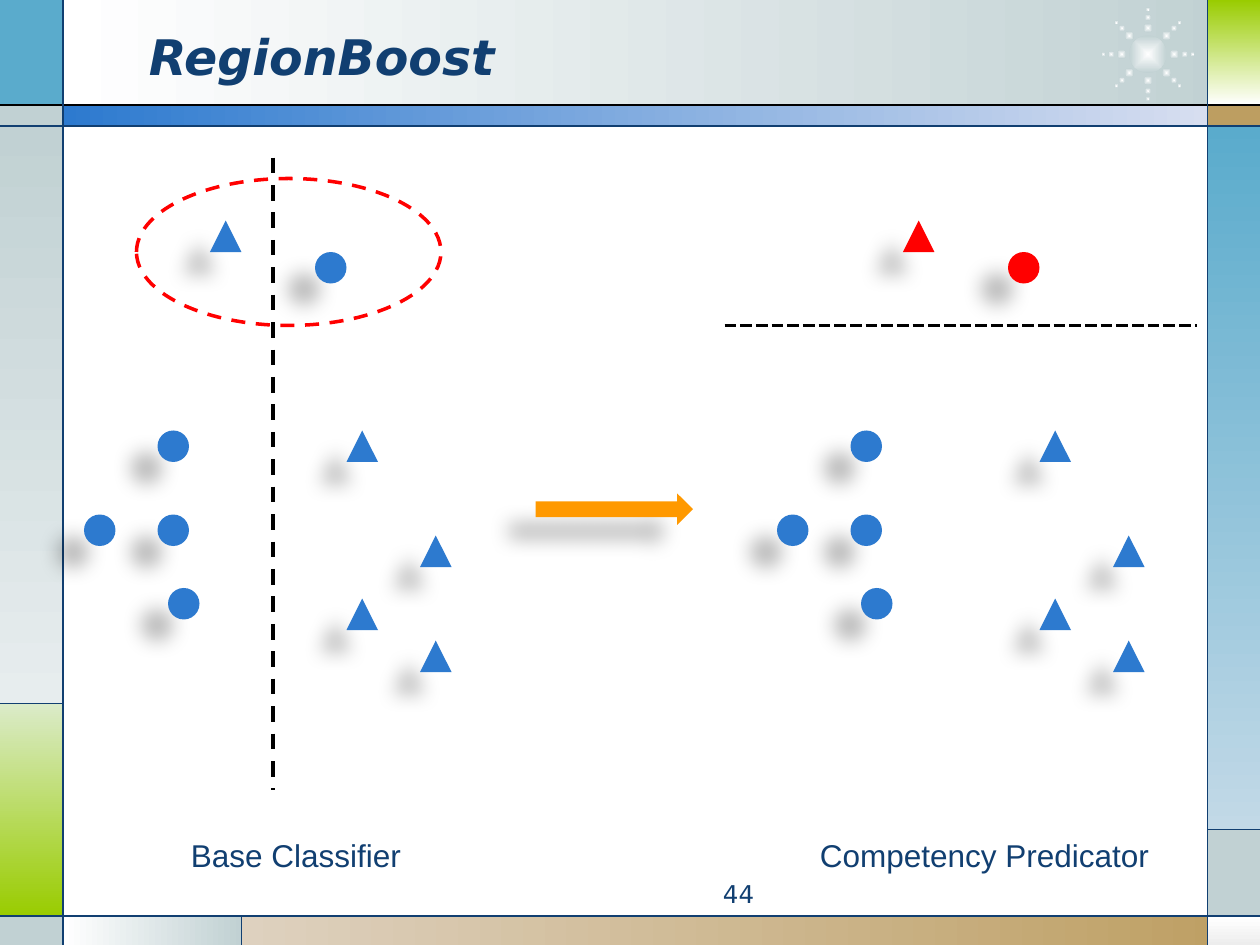
from math import cos, pi, sin

from lxml.etree import SubElement
from pptx import Presentation
from pptx.dml.color import RGBColor
from pptx.enum.dml import MSO_LINE
from pptx.enum.shapes import MSO_CONNECTOR, MSO_SHAPE
from pptx.enum.text import MSO_ANCHOR, PP_ALIGN
from pptx.oxml.ns import qn
from pptx.util import Pt

C = {
    "white": "FFFFFF", "silver": "EDEDED", "grey": "C1D1D3", "pale_grey": "E7EDEE",
    "sky": "5AABCC", "pale_sky": "C2D9E7", "green": "99CC00", "pale_green": "DBEBC9",
    "tan": "BD9E61", "pale_tan": "DED1BF", "blue": "2D7ACF", "pale_blue": "D7DEF0",
    "navy": "113F71", "black": "000000", "red": "FF0000", "orange": "FF9900",
}
W, H = 720, 540
LEFT, RIGHT = 36, 690              # side column edges
HEAD, BAR, FOOT = 60, 72, 523.5    # header, blue bar and footer edges
GREEN_TOP, TAN_LEFT, GREY_TOP = 402, 138, 474
ACROSS, DOWN = 0, 270

# left, top, right, bottom, colours, gradient direction
PANELS = [
    (LEFT, 0, 703.5, HEAD, ("white", "grey"), ACROSS),
    (0, 0, LEFT, HEAD, ("sky",), None),
    (0, HEAD, LEFT, BAR, ("grey",), None),
    (0, BAR, LEFT, GREEN_TOP, ("grey", "pale_grey"), DOWN),
    (0, GREEN_TOP, LEFT, FOOT, ("pale_green", "green"), DOWN),
    (0, FOOT, LEFT, H, ("grey",), None),
    (LEFT, FOOT, TAN_LEFT, H, ("white", "grey"), ACROSS),
    (TAN_LEFT, FOOT, W, H, ("pale_tan", "tan"), ACROSS),
    (RIGHT, FOOT, W, H, ("white", "silver"), DOWN),
    (RIGHT, GREY_TOP, W, FOOT, ("grey",), None),
    (RIGHT, BAR, W, GREY_TOP, ("sky", "pale_sky"), DOWN),
    (RIGHT, HEAD, W, BAR, ("tan",), None),
    (RIGHT, 0, W, HEAD, ("green", "white"), DOWN),
    (LEFT, HEAD, RIGHT, BAR, ("blue", "pale_blue"), ACROSS),
]
RULES = [
    (0, HEAD, W, HEAD, "black"), (0, BAR, W, BAR, "navy"), (0, FOOT, W, FOOT, "navy"),
    (LEFT, 0, LEFT, H, "navy"), (RIGHT, 0, RIGHT, H, "navy"),
    (LEFT, GREEN_TOP, 0, GREEN_TOP, "navy"), (TAN_LEFT, FOOT, TAN_LEFT, H, "navy"),
    (RIGHT, GREY_TOP, W, GREY_TOP, "navy"),
]
STAR_CENTRE = (656, 31)
STAR_CORE = 21.5
STAR_RAYS = 8
RAY_DOTS = [(15, 5.2), (21, 3.6), (25.5, 2.5)]  # distance from centre, size

CIRCLE, TRIANGLE = MSO_SHAPE.OVAL, MSO_SHAPE.ISOSCELES_TRIANGLE
SAMPLES = [
    (CIRCLE, 90, 246), (TRIANGLE, 198, 246), (CIRCLE, 48, 294), (CIRCLE, 96, 336),
    (CIRCLE, 180, 144), (TRIANGLE, 240, 306), (TRIANGLE, 198, 342),
    (TRIANGLE, 120, 126), (CIRCLE, 90, 294), (TRIANGLE, 240, 366),
]
MISCLASSIFIED = [(180, 144), (120, 126)]
SAMPLE_SIZE = 18
PREDICATOR_SHIFT = 396

# text, box, size, font, bold italic, alignment, wrap
TEXTS = [
    ("RegionBoost", (78, 9.5, 528, 44.5), 28, "DejaVu Sans", True, PP_ALIGN.LEFT, True),
    ("44", (270, 499, 168, 19.5), 14, "DejaVu Sans", False, PP_ALIGN.RIGHT, True),
    ("Base Classifier", (102, 474, 135.5, 29), 18, "Arial", False, PP_ALIGN.LEFT, False),
    ("Competency Predicator", (461.5, 474, 204.5, 29), 18, "Arial", False, PP_ALIGN.LEFT, False),
]


def rgb(name):
    return RGBColor.from_string(C[name])


def add_shape(shapes, kind, x, y, w, h, colours=(), angle=None):
    """Add a borderless shape with no fill, a solid fill or a two-colour gradient."""
    sp = shapes.add_shape(kind, Pt(x), Pt(y), Pt(w), Pt(h))
    sp.shadow.inherit = False
    sp.line.fill.background()
    if not colours:
        sp.fill.background()
    elif len(colours) == 1:
        sp.fill.solid()
        sp.fill.fore_color.rgb = rgb(colours[0])
    else:
        sp.fill.gradient()
        sp.fill.gradient_angle = angle
        for stop, name in zip(sp.fill.gradient_stops, colours):
            stop.color.rgb = rgb(name)
    return sp


def add_line(shapes, x1, y1, x2, y2, colour, width=0.75, dash=None):
    cx = shapes.add_connector(MSO_CONNECTOR.STRAIGHT, Pt(x1), Pt(y1), Pt(x2), Pt(y2))
    cx.line.color.rgb = rgb(colour)
    cx.line.width = Pt(width)
    if dash:
        cx.line.dash_style = dash
    SubElement(cx._element.spPr, qn("a:effectLst"))


def add_glow(shapes, x, y, size):
    """Add a dot centred on x, y that fades from white to grey at its edge."""
    sp = add_shape(shapes, CIRCLE, x - size / 2, y - size / 2, size, size, ("white", "grey"), 0)
    grad = sp._element.spPr.find(qn("a:gradFill"))
    grad.remove(grad.find(qn("a:lin")))
    shade = SubElement(grad, qn("a:path"), path="shape")
    SubElement(shade, qn("a:fillToRect"), l="50000", t="50000", r="50000", b="50000")


def add_soft_shadow(sp):
    effects = sp._element.spPr.find(qn("a:effectLst"))
    shadow = SubElement(effects, qn("a:outerShdw"), blurRad=str(Pt(11.8)), dist=str(Pt(19.7)),
                        dir=str(141 * 60000), algn="ctr", rotWithShape="0")
    colour = SubElement(shadow, qn("a:srgbClr"), val=C["black"])
    SubElement(colour, qn("a:alpha"), val="28000")


def add_samples(shapes, shift, highlight):
    for kind, x, y in SAMPLES:
        colour = "red" if (x, y) in highlight else "blue"
        add_soft_shadow(add_shape(shapes, kind, x + shift, y, SAMPLE_SIZE, SAMPLE_SIZE, (colour,)))


def add_text(shapes, text, box, size, font, strong, align, wrap):
    tf = shapes.add_textbox(*map(Pt, box)).text_frame
    tf.word_wrap = wrap
    tf.vertical_anchor = MSO_ANCHOR.MIDDLE if strong else MSO_ANCHOR.TOP
    p = tf.paragraphs[0]
    p.alignment = align
    r = p.add_run()
    r.text = text
    r.font.size, r.font.name = Pt(size), font
    r.font.bold = r.font.italic = strong
    r.font.color.rgb = rgb("navy")


def main():
    prs = Presentation()
    prs.slide_width, prs.slide_height = Pt(W), Pt(H)
    s = prs.slides.add_slide(prs.slide_layouts[6])
    shapes = s.shapes

    for x1, y1, x2, y2, colours, angle in PANELS:
        add_shape(shapes, MSO_SHAPE.RECTANGLE, x1, y1, x2 - x1, y2 - y1, colours, angle)

    star = shapes.add_group_shape().shapes
    cx, cy = STAR_CENTRE
    add_glow(star, cx, cy, STAR_CORE)
    for i in range(STAR_RAYS):
        a = 2 * pi * i / STAR_RAYS
        for distance, size in RAY_DOTS:
            add_glow(star, cx + distance * cos(a), cy + distance * sin(a), size)

    for rule in RULES:
        add_line(shapes, *rule)

    add_samples(shapes, 0, [])
    add_line(shapes, 156, 90, 156, 451.5, "black", 2.25, MSO_LINE.DASH)
    region = add_shape(shapes, CIRCLE, 78, 102, 174, 84)
    region.line.color.rgb = rgb("red")
    region.line.width = Pt(2)
    region.line.dash_style = MSO_LINE.DASH

    add_samples(shapes, PREDICATOR_SHIFT, MISCLASSIFIED)
    add_line(shapes, 414, 186, 684, 186, "black", 2.25, MSO_LINE.SQUARE_DOT)
    add_soft_shadow(add_shape(shapes, MSO_SHAPE.RIGHT_ARROW, 306, 282, 90, 18, ("orange",)))

    for item in TEXTS:
        add_text(shapes, *item)
    prs.save("out.pptx")


if __name__ == "__main__":
    main()
